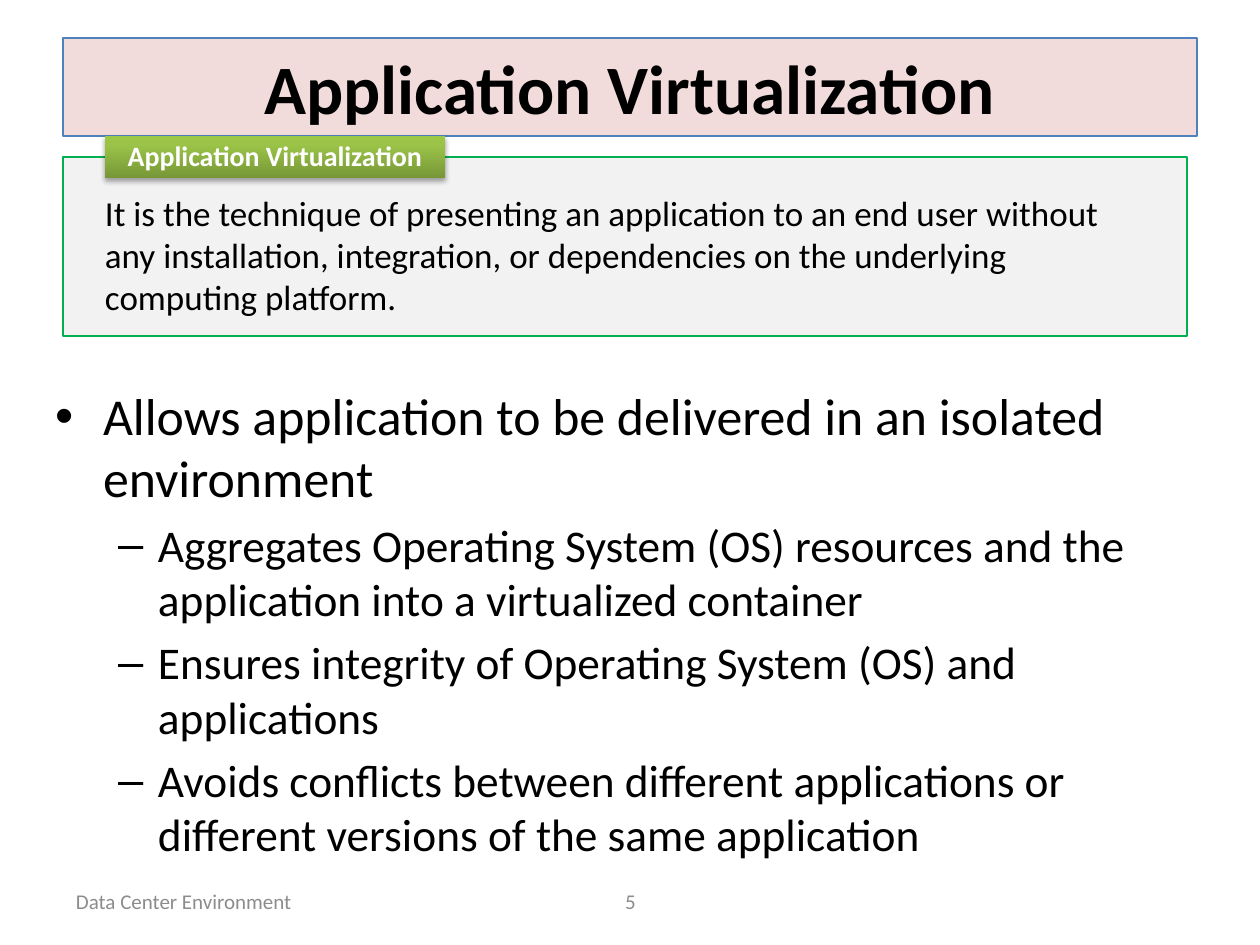
from copy import deepcopy

from lxml import etree
from pptx import Presentation
from pptx.dml.color import RGBColor
from pptx.enum.shapes import MSO_SHAPE
from pptx.enum.text import MSO_ANCHOR, PP_ALIGN
from pptx.oxml.ns import qn
from pptx.util import Emu, Pt

RECT = MSO_SHAPE.RECTANGLE
TOP, MIDDLE = MSO_ANCHOR.TOP, MSO_ANCHOR.MIDDLE
LEFT, CENTER = PP_ALIGN.LEFT, PP_ALIGN.CENTER
FONT = "Calibri"
COLORS = {
    "text": "000000", "white": "FFFFFF", "muted": "8C8C8C",
    "title": "F2DCDB", "title_line": "4F81BD",
    "panel": "F2F2F2", "panel_line": "00B050",
    "tab_dark": "779737", "tab_mid": "9BC348", "tab_light": "9DC746",
}
BULLETS = [
    (0, "Allows application to be delivered in an isolated environment"),
    (1, "Aggregates Operating System (OS) resources and the application into a virtualized container"),
    (1, "Ensures integrity of Operating System (OS) and applications"),
    (1, "Avoids conflicts between different applications or different versions of the same application"),
]
LEVELS = [
    {"char": "•", "size": 29.6, "left": 48, "hang": 48, "before": 6},
    {"char": "–", "size": 25.9, "left": 103, "hang": 40, "before": 5},
]


def px(n):
    return Emu(round(n * 914400 / 126))


def rgb(name):
    return RGBColor.from_string(COLORS[name])


def set_attrs(obj, values):
    for name, value in values.items():
        setattr(obj, name, value)


def setup_frame(sp, anchor=MIDDLE, insets=(13, 6, 13, 6)):
    tf = sp.text_frame
    sides = ("margin_left", "margin_top", "margin_right", "margin_bottom")
    set_attrs(tf, {"word_wrap": True, "vertical_anchor": anchor})
    set_attrs(tf, dict(zip(sides, map(px, insets))))
    return tf


def write(p, text, size, color="text", bold=False, align=LEFT):
    p.alignment = align
    r = p.add_run()
    r.text = text
    set_attrs(r.font, {"name": FONT, "size": Pt(size), "bold": bold})
    r.font.color.rgb = rgb(color)


def add_box(s, box, fill, line):
    sp = s.shapes.add_shape(RECT, *map(px, box))
    sp.shadow.inherit = False
    sp.fill.solid()
    sp.fill.fore_color.rgb = rgb(fill)
    sp.line.color.rgb = rgb(line)
    sp.line.width = Pt(0.75)
    return sp


def add_title(s, box, text):
    sp = add_box(s, box, "title", "title_line")
    write(setup_frame(sp).paragraphs[0], text, 39.6, bold=True, align=CENTER)


def fill_gradient(sp):
    sp.fill.gradient()
    sp.fill.gradient_angle = 90
    stops = sp._element.spPr.find(".//" + qn("a:gsLst"))
    stops.append(deepcopy(stops[-1]))
    ramp = ((0, "tab_dark"), (0.8, "tab_mid"), (1, "tab_light"))
    for stop, (position, color) in zip(sp.fill.gradient_stops, ramp):
        stop.position = position
        stop.color.rgb = rgb(color)


def add_shadow(sp):
    sp.shadow.inherit = False
    effects = sp._element.spPr.find(qn("a:effectLst"))
    shadow = etree.SubElement(effects, qn("a:outerShdw"), blurRad=str(Pt(3.1)),
                              dist=str(Pt(1.8)), dir="5400000", rotWithShape="0")
    color = etree.SubElement(shadow, qn("a:srgbClr"), val=COLORS["text"])
    etree.SubElement(color, qn("a:alpha"), val="35000")


def add_definition(s, box, label, text):
    x, y, w, h = box
    panel = add_box(s, box, "panel", "panel_line")
    tf = setup_frame(panel, insets=(42, 32, 42, 15))
    write(tf.paragraphs[0], text, 20)

    tab = s.shapes.add_shape(RECT, *map(px, (x + 42, y - 21, 340, 42)))
    fill_gradient(tab)
    tab.line.fill.background()
    add_shadow(tab)
    p = setup_frame(tab, insets=(14, 0, 14, 0)).paragraphs[0]
    p.line_spacing = 0.9
    write(p, label, 16, "white", True, CENTER)


def add_bullets(s, box, items):
    tf = setup_frame(s.shapes.add_textbox(*map(px, box)), TOP)
    for i, (level, text) in enumerate(items):
        p = tf.add_paragraph() if i else tf.paragraphs[0]
        style = LEVELS[level]
        set_attrs(p, {"level": level, "space_before": Pt(style["before"])})
        write(p, text, style["size"])
        pPr = p._p.get_or_add_pPr()
        pPr.set("marL", str(px(style["left"])))
        pPr.set("indent", str(-px(style["hang"])))
        etree.SubElement(pPr, qn("a:buFont"), typeface="Arial")
        etree.SubElement(pPr, qn("a:buChar"), char=style["char"])


def add_footer(s, box, name, number):
    x, y, w, h = box
    parts = ((x, 294, name, LEFT), (x + 368, 399, number, CENTER))
    for left, width, text, align in parts:
        sp = s.shapes.add_textbox(*map(px, (left, y, width, h)))
        write(setup_frame(sp).paragraphs[0], text, 12, "muted", align=align)


def main():
    prs = Presentation()
    prs.slide_width, prs.slide_height = px(1260), px(945)
    s = prs.slides.add_slide(prs.slide_layouts[6])
    add_title(s, (63, 38, 1134, 98), "Application Virtualization")
    add_bullets(s, (42, 378, 1166, 462), BULLETS)
    add_footer(s, (63, 876, 1134, 50), "Data Center Environment", "5")
    add_definition(
        s, (63, 157, 1124, 179), "Application Virtualization",
        "It is the technique of presenting an application to an end user without any "
        "installation, integration, or dependencies on the underlying computing platform.")
    prs.save("out.pptx")


if __name__ == "__main__":
    main()
